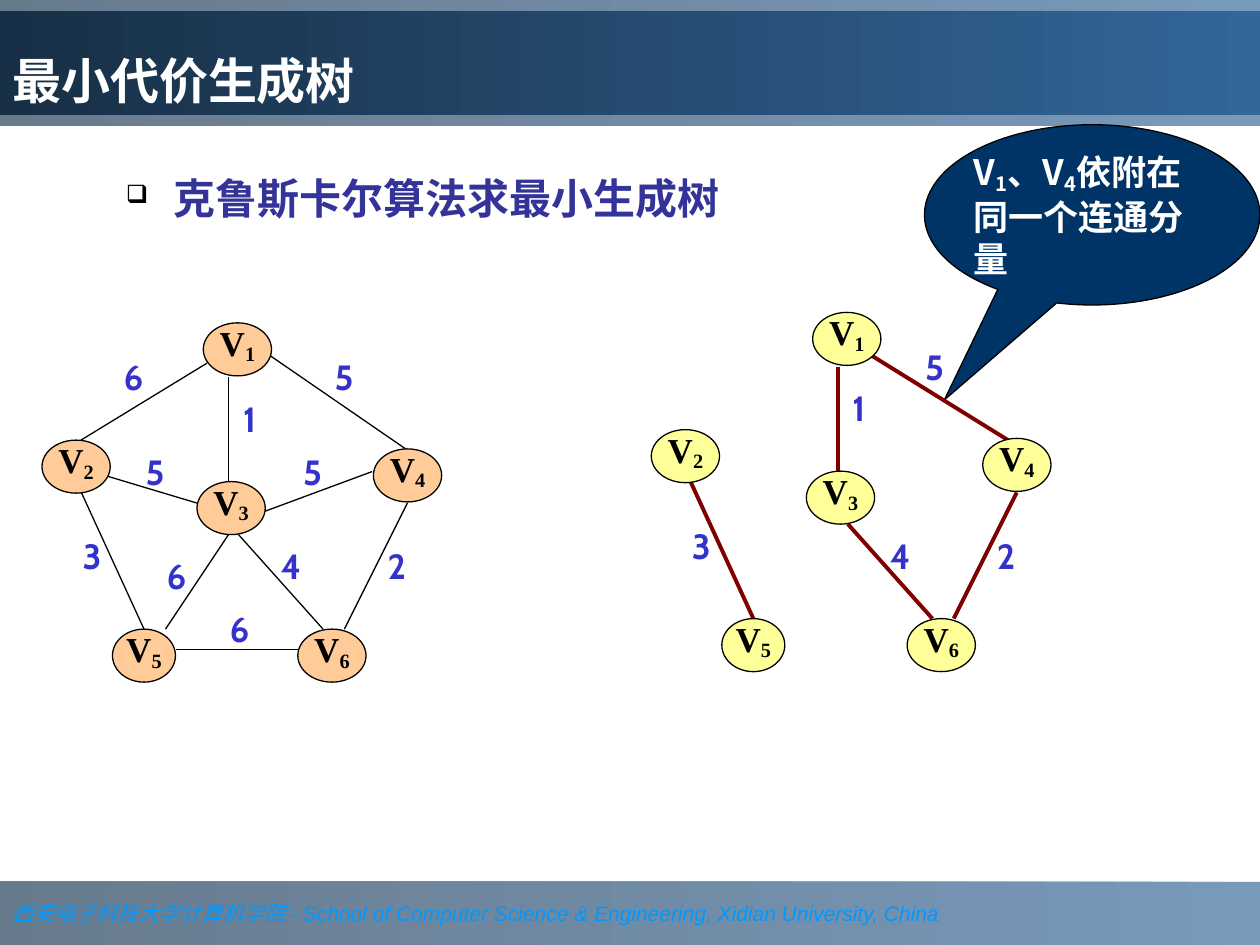
import pptx
import pptx.util
import pptx.dml.color
import pptx.enum.shapes
import pptx.enum.text
import pptx.oxml
import pptx.oxml.ns
import lxml.etree

Pt = pptx.util.Pt
SHAPE = pptx.enum.shapes.MSO_SHAPE
ANCHOR = pptx.enum.text.MSO_ANCHOR
ALIGN = pptx.enum.text.PP_ALIGN
CJK = "Noto Sans CJK SC"

NODE_HEIGHT = 30.3
NODES = {
    "1": (92.2, 0, 39), "2": (0, 67, 39), "3": (88.6, 90.7, 39),
    "4": (189.4, 72, 39), "5": (40.3, 175, 36), "6": (146.2, 175, 39),
}
EDGES = {
    "12": ("6", (94.3, 23, 22.3, 67), (40.3, 18.7)),
    "13": ("1", (106.6, 31, 106.6, 90.7), (106.6, 42.5)),
    "14": ("5", (130.3, 18.7, 208.8, 72.7), (160.6, 18.7)),
    "23": ("5", (88.6, 103, 31, 85.7), (52.6, 72.7)),
    "34": ("5", (124.6, 108.7, 188.6, 85), (142.6, 72.7)),
    "25": ("3", (22.3, 96.5, 58.3, 175), (16.6, 121)),
    "35": ("6", (106.6, 121, 70.6, 175), (64.8, 132.5)),
    "36": ("4", (112.3, 121, 160.6, 175), (130.3, 126.7)),
    "46": ("2", (208.8, 103, 172.8, 175), (190.8, 126.7)),
    "56": ("6", (76.3, 186.5, 148.3, 186.5), (100.8, 162.7)),
}
TREE_EDGES = {k: EDGES[k] for k in ("13", "25", "36", "46")}
TREE_EDGES["14"] = ("5", (126, 24.8, 203.8, 73), (149.8, 18.7))


def rgb(value):
    """Return a colour from a hex string."""
    return pptx.dml.color.RGBColor.from_string(value)


def add_child(parent, tag, **attributes):
    """Append a DrawingML element with the given attributes."""
    return lxml.etree.SubElement(parent, pptx.oxml.ns.qn(tag), attributes)


def add_run(p, text, size, font, color, bold=True, italic=False, sub=False):
    """Add one formatted run to a paragraph."""
    r = p.add_run()
    r.text = text
    r.font.size, r.font.name = Pt(size), font
    r.font.bold, r.font.italic = bold, italic
    r.font.color.rgb = rgb(color)
    add_child(r.font._element, "a:ea", typeface=CJK)
    if sub:
        r.font._element.set("baseline", "-16000")


def set_frame(s, anchor=ANCHOR.TOP, inset=(0, 0), align=ALIGN.LEFT):
    """Set up a text frame and return its first paragraph."""
    tf = s.text_frame
    tf.word_wrap, tf.vertical_anchor = True, anchor
    tf.margin_left = tf.margin_right = Pt(inset[0])
    tf.margin_top = tf.margin_bottom = Pt(inset[1])
    p = tf.paragraphs[0]
    p.alignment = align
    return p


def add_outlined(slide, kind, box, fill):
    """Add a filled shape with a thin black outline."""
    s = slide.shapes.add_shape(kind, *map(Pt, box))
    s.shadow.inherit = False
    s.fill.solid()
    s.fill.fore_color.rgb = rgb(fill)
    s.line.color.rgb = rgb("000000")
    s.line.width = Pt(0.75)
    return s


def add_band(slide, box, end, opacity=100):
    """Add a horizontal gradient band."""
    s = slide.shapes.add_shape(SHAPE.RECTANGLE, *map(Pt, box))
    s.shadow.inherit = False
    s.line.fill.background()
    s.fill.gradient()
    s.fill.gradient_angle = 180
    for stop, color, position in zip(s.fill.gradient_stops, ("336699", end), (0, 1)):
        stop.color.rgb = rgb(color)
        stop.position = position
    if opacity < 100:
        for clr in s._element.spPr.iter(pptx.oxml.ns.qn("a:srgbClr")):
            add_child(clr, "a:alpha", val=str(opacity * 1000))
    return s


def add_header(slide, x, y, w, h):
    """Draw the title band over its pale backing band."""
    add_band(slide, (x, y, w, h), "1B3753", 66)
    s = add_band(slide, (x, y + 6, w, h - 12), "172F46")
    p = set_frame(s, ANCHOR.BOTTOM, (7.2, 3.6))
    add_run(p, "最小代价生成树", 28, "Cabin", "FFFFFF")


def add_footer(slide, x, y, w, h):
    """Draw the footer band with the school's name."""
    s = add_band(slide, (x, y, w, h), "1B3753", 66)
    p = set_frame(s, ANCHOR.MIDDLE, (7.2, 3.6))
    for text, font in (
        ("西安电子科技大学计算机学院 ", "Times New Roman"),
        ("- School of Computer Science & Engineering, Xidian University, China", "Arial"),
    ):
        add_run(p, text, 12, font, "0099FF", bold=False, italic=True)


def add_heading(slide, x, y, w, h):
    """Write the bulleted heading."""
    s = slide.shapes.add_textbox(*map(Pt, (x, y, w, h)))
    p = set_frame(s, inset=(7.2, 3.6))
    pPr = p._p.get_or_add_pPr()
    pPr.set("marL", str(Pt(27)))
    pPr.set("indent", str(Pt(-27)))
    add_child(add_child(pPr, "a:buClr"), "a:srgbClr", val="000000")
    add_child(pPr, "a:buSzPct", val="60000")
    add_child(pPr, "a:buChar", char="❑")
    p.line_spacing = 1.1
    add_run(p, "克鲁斯卡尔算法求最小生成树", 24, CJK, "333399")


def add_callout(slide, x, y, w, h):
    """Draw the speech bubble that points at the rejected choice."""
    s = add_outlined(slide, SHAPE.OVAL_CALLOUT, (x, y, w, h), "003366")
    s.adjustments[0], s.adjustments[1] = -0.441, 1.027
    p = set_frame(s, ANCHOR.MIDDLE)
    for text in ("V", "1", "、V", "4", "依附在同一个连通分量"):
        add_run(p, text, 20, CJK, "FFFFFF", sub=text.isdigit())


def add_graph(slide, x, y, edges, fill, line_color, line_width):
    """Draw the weighted graph with its top left corner at x, y."""
    for weight, (x1, y1, x2, y2), (label_x, label_y) in edges.values():
        s = slide.shapes.add_connector(
            pptx.enum.shapes.MSO_CONNECTOR.STRAIGHT,
            Pt(x + x1), Pt(y + y1), Pt(x + x2), Pt(y + y2))
        s.line.color.rgb = rgb(line_color)
        s.line.width = Pt(line_width)
        add_child(s._element.spPr, "a:effectLst")
        s = slide.shapes.add_textbox(Pt(x + label_x), Pt(y + label_y), Pt(24), Pt(24))
        p = set_frame(s, align=ALIGN.CENTER)
        add_run(p, weight, 20, "Cabin", "3333CC")
    for number, (node_x, node_y, w) in NODES.items():
        box = (x + node_x, y + node_y, w, NODE_HEIGHT)
        p = set_frame(add_outlined(slide, SHAPE.OVAL, box, fill), align=ALIGN.CENTER)
        p.line_spacing = 0.72
        add_run(p, "V", 20, "Times New Roman", "000000")
        add_run(p, number, 20, "Times New Roman", "000000", sub=True)


def main():
    """Build the slide and save it."""
    prs = pptx.Presentation()
    prs.slide_width, prs.slide_height = Pt(720), Pt(540)
    slide = prs.slides.add_slide(prs.slide_layouts[6])
    add_footer(slide, 0, 504, 720, 36)
    add_header(slide, 0, 0, 720, 72)
    add_heading(slide, 64.8, 92.2, 567.4, 61.2)
    add_graph(slide, 24, 184.5, EDGES, "FFCC99", "000000", 0.75)
    add_callout(slide, 528.3, 71.3, 191.7, 103)
    add_graph(slide, 372.2, 178.5, TREE_EDGES, "FFFF99", "800000", 2.25)
    prs.save("out.pptx")


if __name__ == "__main__":
    main()
